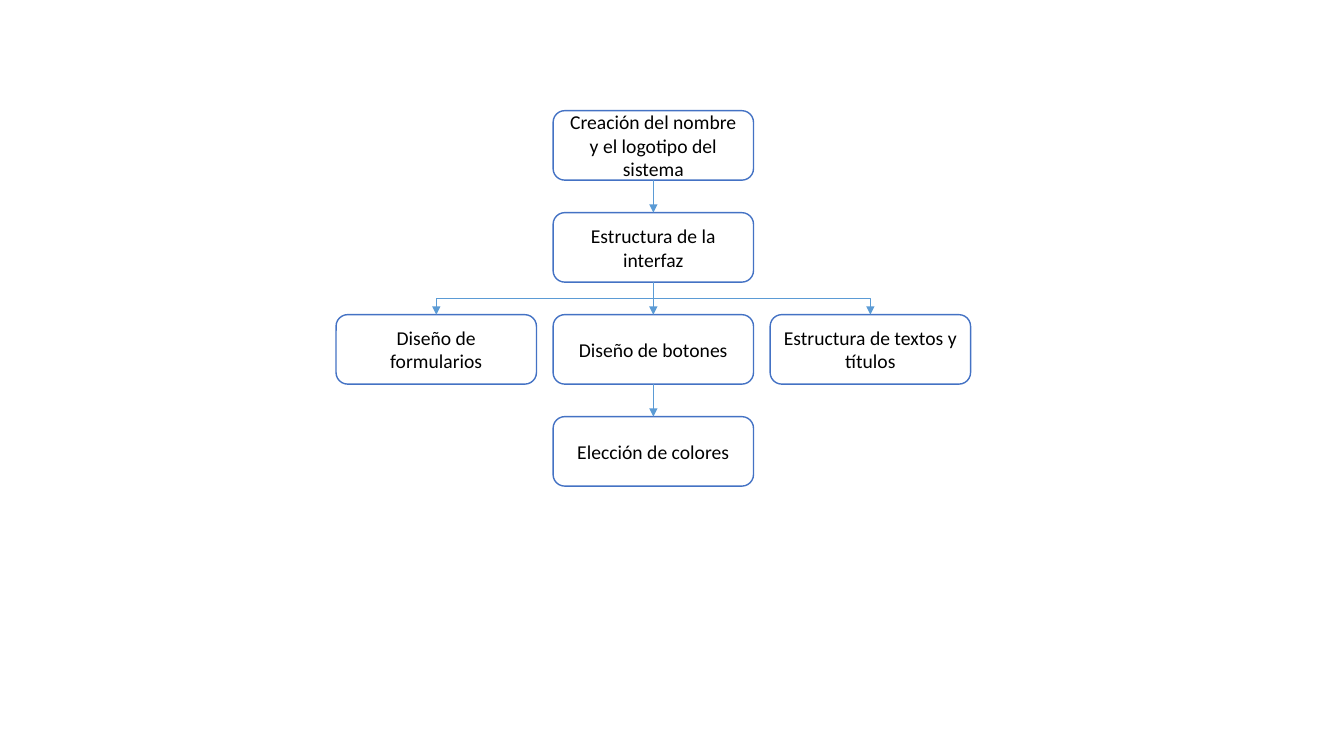
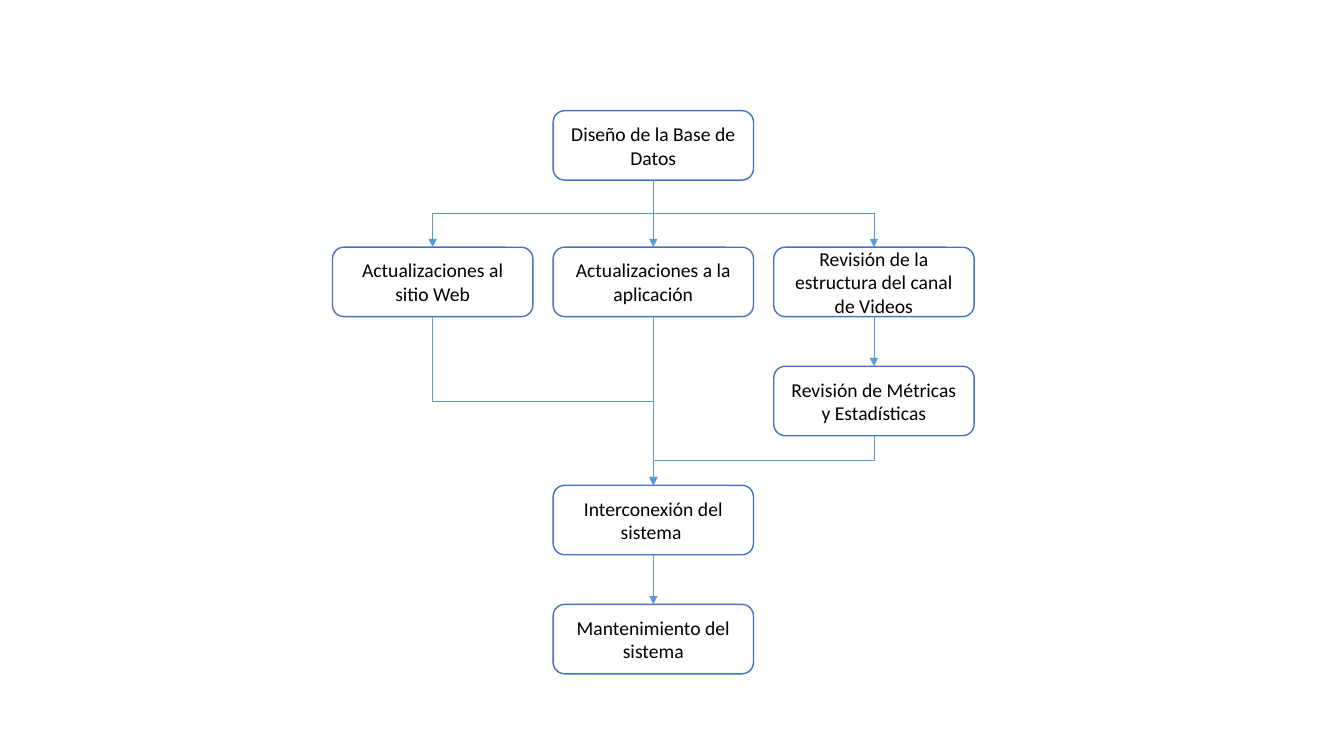
"""Builds two flowchart slides about the design of a system."""
from lxml import etree
from pptx import Presentation
from pptx import util as u
from pptx.dml.color import RGBColor
from pptx.enum import shapes, text
from pptx.oxml.ns import qn

BOX_FILL, BOX_LINE, ARROW_LINE, INK = "FFFFFF", "4472C4", "5B9BD5", "000000"
BOX_WIDTH, BOX_HEIGHT = u.Cm(5.05), u.Cm(1.75)
CENTRE_LEFT, FIRST_TOP = 13.94, 2.79
LABEL_FONT = {"name": "Calibri", "size": u.Pt(14)}
TOP_SITE, BOTTOM_SITE = 0, 2

INTERFACE = {
    "column_step": 5.47,
    "tops": [FIRST_TOP + 2.57 * row for row in range(4)],
    "steps": {
        "name": (0, 0, "Creación del nombre y el logotipo del sistema"),
        "interface": (0, 1, "Estructura de la interfaz"),
        "forms": (-1, 2, "Diseño de formularios"),
        "buttons": (0, 2, "Diseño de botones"),
        "texts": (1, 2, "Estructura de textos y títulos"),
        "colours": (0, 3, "Elección de colores"),
    },
    "arrows": [
        ("name", "interface"),
        ("interface", "buttons"),
        ("interface", "forms"),
        ("interface", "texts"),
        ("buttons", "colours"),
    ],
}

SYSTEM = {
    "column_step": 5.56,
    "tops": [FIRST_TOP] + [6.23 + 3 * row for row in range(4)],
    "steps": {
        "database": (0, 0, "Diseño de la Base de Datos"),
        "website": (-1, 1, "Actualizaciones al sitio Web"),
        "app": (0, 1, "Actualizaciones a la aplicación"),
        "channel": (1, 1, "Revisión de la estructura del canal de Videos"),
        "statistics": (1, 2, "Revisión de Métricas y Estadísticas"),
        "connection": (0, 3, "Interconexión del sistema "),
        "maintenance": (0, 4, "Mantenimiento del sistema"),
    },
    "arrows": [
        ("database", "website"),
        ("database", "channel"),
        ("database", "app"),
        ("app", "connection"),
        ("channel", "statistics"),
        ("connection", "maintenance"),
        ("website", "connection"),
        ("statistics", "connection"),
    ],
}


def colour(value):
    """Turn a hex string into a colour."""
    return RGBColor.from_string(value)


def set_line(line, value, points):
    """Give a line its colour and width."""
    line.color.rgb = colour(value)
    line.width = u.Pt(points)


def add_step(slide, left, top, label):
    """Add a rounded box with a centred label."""
    step = slide.shapes.add_shape(
        shapes.MSO_SHAPE.ROUNDED_RECTANGLE, left, top, BOX_WIDTH, BOX_HEIGHT)
    step.shadow.inherit = False
    step.fill.solid()
    step.fill.fore_color.rgb = colour(BOX_FILL)
    set_line(step.line, BOX_LINE, 1)
    frame = step.text_frame
    frame.word_wrap = True
    frame.vertical_anchor = text.MSO_ANCHOR.MIDDLE
    paragraph = frame.paragraphs[0]
    paragraph.alignment = text.PP_ALIGN.CENTER
    run = paragraph.add_run()
    run.text = label
    for key, value in LABEL_FONT.items():
        setattr(run.font, key, value)
    run.font.color.rgb = colour(INK)
    return step


def turn_down(arrow, source, target):
    """Turn an elbow so that it leaves downwards and arrives downwards."""
    start_y = source.top + source.height
    across = target.left - source.left
    down = target.top - start_y
    middle_x = source.left + (source.width + across) // 2
    middle_y = start_y + down // 2
    place = {
        "left": middle_x - down // 2,
        "top": middle_y - abs(across) // 2,
        "width": down,
        "height": abs(across),
    }
    for key, value in place.items():
        setattr(arrow, key, u.Emu(value))
    degrees, flip = (270, "1") if across > 0 else (90, "0")
    turn = {"rot": str(degrees * 60000), "flipH": flip, "flipV": "0"}
    for key, value in turn.items():
        arrow._element.spPr.find(qn("a:xfrm")).set(key, value)


def add_arrow(slide, source, target):
    """Join the bottom of one box to the top of another."""
    straight = source.left == target.left
    kind = shapes.MSO_CONNECTOR.STRAIGHT if straight else shapes.MSO_CONNECTOR.ELBOW
    arrow = slide.shapes.add_connector(kind, 0, 0, 0, 0)
    arrow.begin_connect(source, BOTTOM_SITE)
    arrow.end_connect(target, TOP_SITE)
    if straight:
        arrow.begin_x = arrow.end_x = source.left + source.width // 2
        arrow.begin_y = source.top + source.height
        arrow.end_y = target.top
    else:
        turn_down(arrow, source, target)
    set_line(arrow.line, ARROW_LINE, 0.5)
    properties = arrow._element.spPr
    etree.SubElement(properties.find(qn("a:ln")), qn("a:tailEnd"), type="triangle")
    etree.SubElement(properties, qn("a:effectLst"))


def add_flowchart(deck, chart):
    """Add a slide with the boxes and arrows of one flowchart."""
    slide = deck.slides.add_slide(deck.slide_layouts[6])
    steps = {}
    for key, (column, row, label) in chart["steps"].items():
        left = u.Cm(CENTRE_LEFT + column * chart["column_step"])
        steps[key] = add_step(slide, left, u.Cm(chart["tops"][row]), label)
    for source, target in chart["arrows"]:
        add_arrow(slide, steps[source], steps[target])


def main():
    """Build and save the presentation."""
    deck = Presentation()
    deck.slide_width, deck.slide_height = u.Cm(33.87), u.Cm(19.05)
    for chart in (INTERFACE, SYSTEM):
        add_flowchart(deck, chart)
    deck.save("out.pptx")


main()
